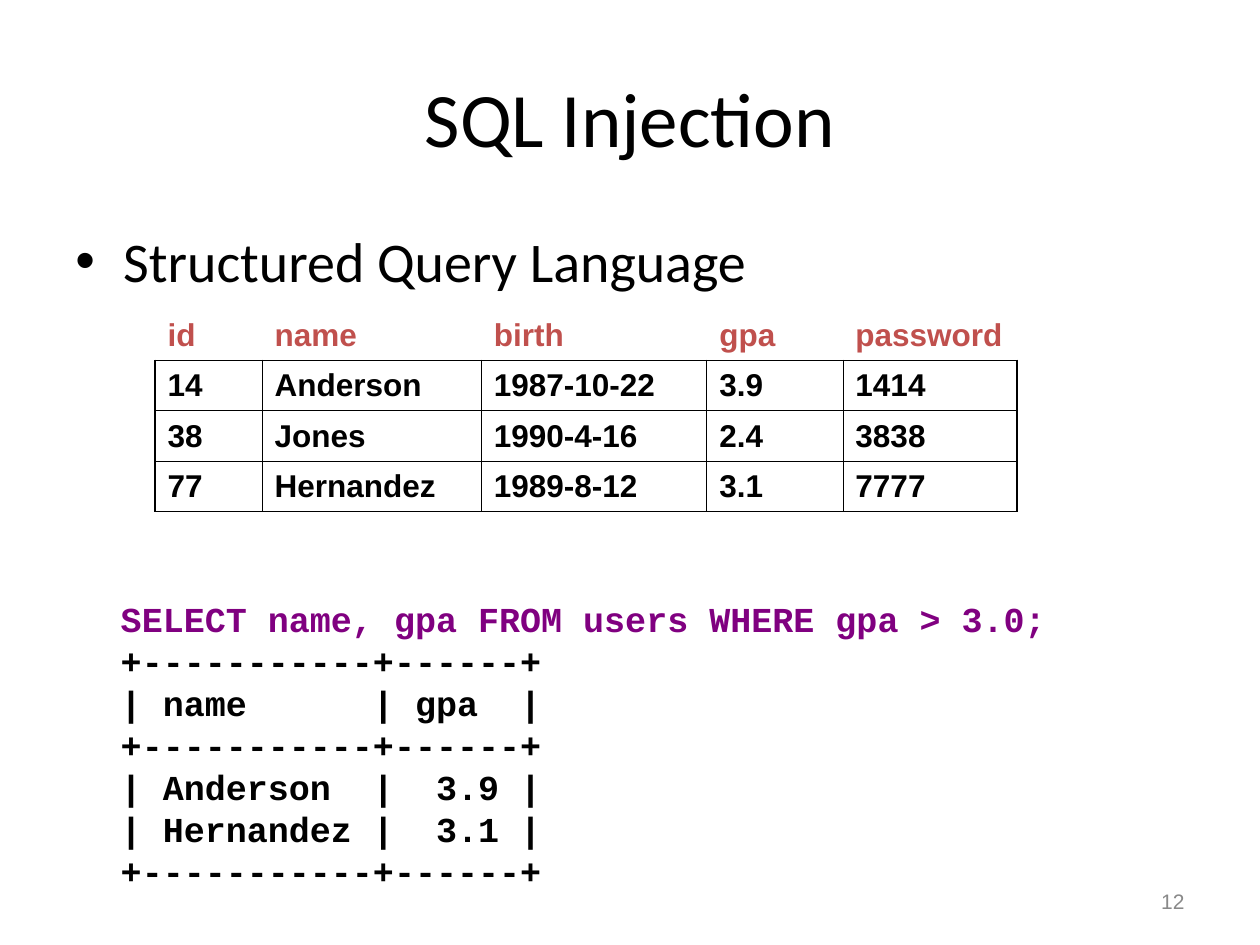
from lxml.etree import SubElement
from pptx import Presentation
from pptx.dml.color import RGBColor
from pptx.enum.text import MSO_ANCHOR, MSO_AUTO_SIZE, PP_ALIGN
from pptx.oxml.ns import qn
from pptx.util import Inches, Pt

BLACK = RGBColor(0x00, 0x00, 0x00)
RED = RGBColor(0xC0, 0x50, 0x4D)
PURPLE = RGBColor(0x80, 0x00, 0x80)
GRAY = RGBColor(0x89, 0x89, 0x89)
OUTER, INNER = Pt(1.08), Pt(0.45)


def write(frame, text, size, font="Arial", color=BLACK, bold=False,
          align=PP_ALIGN.LEFT, anchor=MSO_ANCHOR.TOP, wrap=True, bullet=None):
    frame.word_wrap = wrap
    frame.vertical_anchor = anchor
    frame.text = text
    for paragraph in frame.paragraphs:
        paragraph.alignment = align
        if bullet:
            properties = paragraph._p.get_or_add_pPr()
            properties.set("marL", str(Inches(0.38)))
            properties.set("indent", str(-Inches(0.38)))
            SubElement(properties, qn("a:buFont"), typeface="Arial")
            SubElement(properties, qn("a:buChar"), char=bullet)
        paragraph.font.size = Pt(size)
        paragraph.font.name = font
        paragraph.font.bold = bold
        paragraph.font.color.rgb = color


def draw_border(cell, side, width):
    line = SubElement(cell._tc.get_or_add_tcPr(), qn(f"a:ln{side}"), w=str(width))
    if width:
        fill = SubElement(line, qn("a:solidFill"))
        SubElement(fill, qn("a:srgbClr"), val=str(BLACK))
    else:
        SubElement(line, qn("a:noFill"))


deck = Presentation()
deck.slide_width, deck.slide_height = Inches(10), Inches(7.5)
slide = deck.slides.add_slide(deck.slide_layouts[6])

title = slide.shapes.add_textbox(Inches(0.5), Inches(0.3), Inches(9), Inches(1.25))
write(title.text_frame, "SQL Injection", 44, font="Calibri",
      align=PP_ALIGN.CENTER, anchor=MSO_ANCHOR.MIDDLE)

topic = slide.shapes.add_textbox(Inches(0.5), Inches(1.75), Inches(9), Inches(4.95))
write(topic.text_frame, "Structured Query Language", 32, font="Calibri", bullet="•")

page_number = slide.shapes.add_textbox(Inches(7.17), Inches(6.95), Inches(2.33), Inches(0.4))
write(page_number.text_frame, "12", 12, color=GRAY,
      align=PP_ALIGN.RIGHT, anchor=MSO_ANCHOR.MIDDLE)

records = [
    ["id", "name", "birth", "gpa", "password"],
    ["14", "Anderson", "1987-10-22", "3.9", "1414"],
    ["38", "Jones", "1990-4-16", "2.4", "3838"],
    ["77", "Hernandez", "1989-8-12", "3.1", "7777"],
]
column_widths = [0.85, 1.74, 1.79, 1.08, 1.38]
last_column = len(column_widths) - 1
users = slide.shapes.add_table(len(records), len(column_widths), Inches(1.23), Inches(2.46),
                               Inches(sum(column_widths)), Inches(1.6)).table
users.first_row = users.horz_banding = False
for column, width in zip(users.columns, column_widths):
    column.width = Inches(width)

for row, record in enumerate(records):
    header = row == 0
    for column, value in enumerate(record):
        cell = users.cell(row, column)
        write(cell.text_frame, value, 18, color=RED if header else BLACK, bold=True)
        cell.vertical_anchor = MSO_ANCHOR.MIDDLE
        borders = {
            "L": 0 if header else OUTER if column == 0 else INNER,
            "R": 0 if header else OUTER if column == last_column else INNER,
            "T": 0 if header else OUTER if row == 1 else INNER,
            "B": OUTER if header else INNER,
        }
        for side, width in borders.items():
            draw_border(cell, side, width)
        cell.fill.background()

query_lines = [
    "SELECT name, gpa FROM users WHERE gpa > 3.0;",
    "+-----------+------+",
    "| name      | gpa  |",
    "+-----------+------+",
    "| Anderson  |  3.9 |",
    "| Hernandez |  3.1 |",
    "+-----------+------+",
]
query = slide.shapes.add_textbox(Inches(0.86), Inches(4.69), Inches(7.55), Inches(2.44))
write(query.text_frame, "\n".join(query_lines), 20, font="Courier New", bold=True, wrap=False)
query.text_frame.auto_size = MSO_AUTO_SIZE.SHAPE_TO_FIT_TEXT
query.text_frame.paragraphs[0].font.color.rgb = PURPLE

deck.save("out.pptx")
